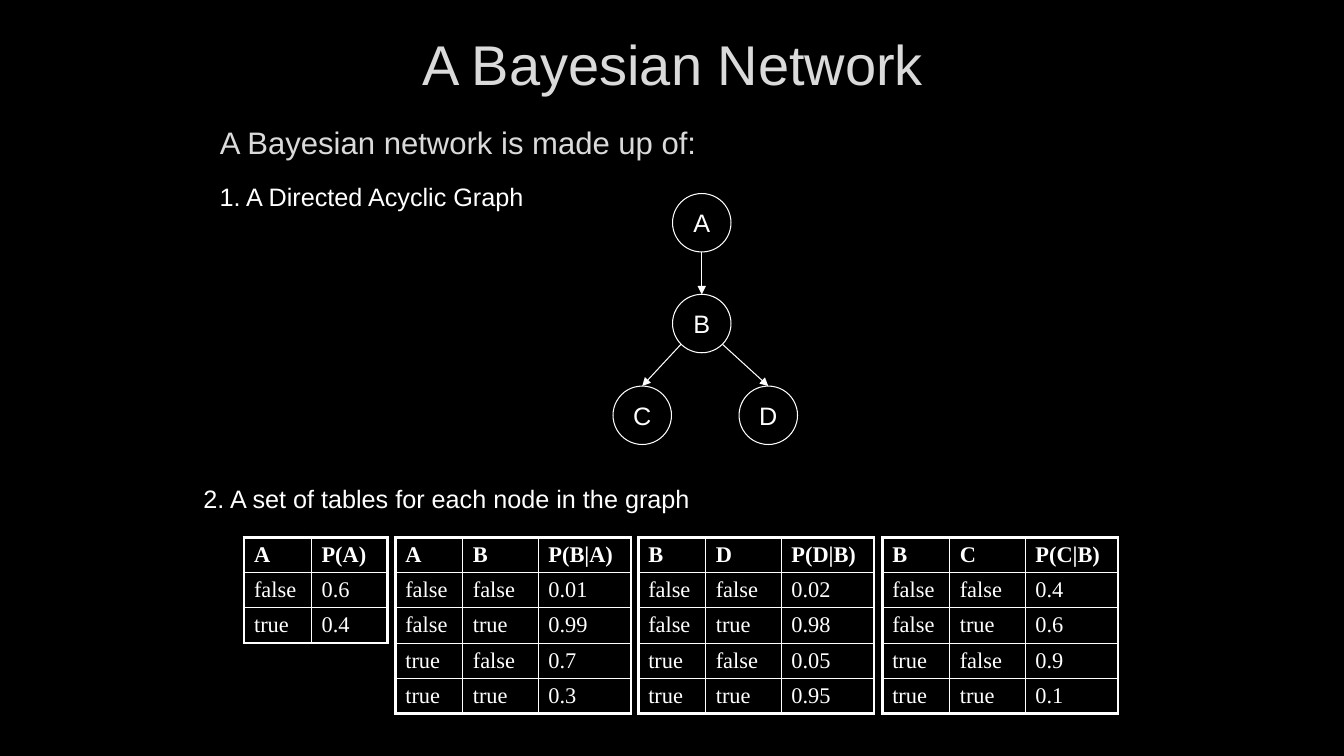
import math
import pptx
import pptx.util
import pptx.dml.color
import pptx.enum.shapes
import pptx.enum.text
import pptx.oxml
import pptx.oxml.ns
import lxml.etree

Inches = pptx.util.Inches
Align = pptx.enum.text.PP_ALIGN
Anchor = pptx.enum.text.MSO_ANCHOR
Fit = pptx.enum.text.MSO_AUTO_SIZE
WHITE, BLACK, GRAY = "FFFFFF", "000000", "DADADA"
SIZE = 0.58
BOOLS = ["false", "true"]
NODES = {"A": (0.59, 0), "B": (0.59, 1), "C": (0, 1.91), "D": (1.25, 1.91)}
EDGES = ["AB", "BC", "BD"]
TABLES = [
    (2.42, ["A"], "P(A)", ["0.6", "0.4"]),
    (3.92, ["A", "B"], "P(B|A)", ["0.01", "0.99", "0.7", "0.3"]),
    (8.75, ["B", "C"], "P(C|B)", ["0.4", "0.6", "0.9", "0.1"]),
    (6.33, ["B", "D"], "P(D|B)", ["0.02", "0.98", "0.05", "0.95"]),
]


def color(code):
    return pptx.dml.color.RGBColor.from_string(code)


def add_sub(node, tag, **attrs):
    return lxml.etree.SubElement(node, pptx.oxml.ns.qn(tag), **attrs)


def write(frame, text, size, code=WHITE, font="Arial", bold=False, align=Align.LEFT):
    frame.text = text
    part = frame.paragraphs[0]
    part.alignment = align
    face = part.runs[0].font
    face.size, face.name, face.bold = pptx.util.Pt(size), font, bold
    face.color.rgb = color(code)


def place(shape, box):
    shape.left, shape.top, shape.width, shape.height = map(Inches, box)


def draw_title(slide, box):
    title = slide.shapes.title
    place(title, box)
    write(title.text_frame, "A Bayesian Network", 40, GRAY, align=Align.CENTER)
    title.text_frame.vertical_anchor = Anchor.MIDDLE


def draw_intro(slide, box):
    body = slide.placeholders[1]
    place(body, box)
    frame = body.text_frame
    write(frame, "A Bayesian network is made up of:", 22.2, GRAY)
    frame.auto_size = Fit.NONE
    props = frame.paragraphs[0]._p.get_or_add_pPr()
    props.set("marL", "0")
    props.set("indent", "0")
    add_sub(props, "a:buNone")


def draw_label(slide, box, text):
    frame = slide.shapes.add_textbox(*map(Inches, box)).text_frame
    frame.word_wrap = True
    frame.auto_size = Fit.SHAPE_TO_FIT_TEXT
    write(frame, text, 18)


def draw_node(slide, box, name):
    kind = pptx.enum.shapes.MSO_SHAPE.OVAL
    node = slide.shapes.add_shape(kind, *map(Inches, box))
    node.shadow.inherit = False
    node.fill.solid()
    node.fill.fore_color.rgb = color(BLACK)
    node.line.color.rgb = color(WHITE)
    node.line.width = pptx.util.Pt(0.75)
    frame = node.text_frame
    frame.word_wrap = False
    frame.vertical_anchor = Anchor.MIDDLE
    write(frame, name, 18, align=Align.CENTER)


def draw_edge(slide, start, end):
    kind = pptx.enum.shapes.MSO_CONNECTOR.STRAIGHT
    line = slide.shapes.add_connector(kind, *map(Inches, start + end))
    line.line.color.rgb = color(WHITE)
    line.line.width = pptx.util.Pt(0.75)
    add_sub(line.line._get_or_add_ln(), "a:tailEnd", type="triangle")
    add_sub(line._element.spPr, "a:effectLst")


def draw_graph(slide, left, top):
    half = SIZE / 2
    mids = {}
    for name, (dx, dy) in NODES.items():
        draw_node(slide, (left + dx, top + dy, SIZE, SIZE), name)
        mids[name] = (left + dx + half, top + dy + half)
    for tail, head in EDGES:
        (x, y), (to_x, to_y) = mids[tail], mids[head]
        side = (to_x > x) - (to_x < x)
        turn = side * math.pi / 4
        start = (x + half * math.sin(turn), y + half * math.cos(turn))
        draw_edge(slide, start, (to_x, to_y - half))


def draw_border(cell, edges):
    props = cell._tc.get_or_add_tcPr()
    for side, outer in zip("LRTB", edges):
        width = pptx.util.Pt(2.25 if outer else 1)
        line = add_sub(props, "a:ln" + side, w=str(width))
        add_sub(add_sub(line, "a:solidFill"), "a:srgbClr", val=WHITE)


def draw_table(slide, left, top, names, prob, values):
    count = len(names)
    rows = [names + [prob]]
    for pos, value in enumerate(values):
        flags = [BOOLS[pos >> bit & 1] for bit in reversed(range(count))]
        rows.append(flags + [value])
    widths = [0.67, 0.75, 0.92][:count + 1]
    box = (left, top, sum(widths), 0.35 * len(rows))
    grid = slide.shapes.add_table(len(rows), len(widths), *map(Inches, box)).table
    grid.first_row = grid.horz_banding = False
    for col, width in zip(grid.columns, widths):
        col.width = Inches(width)
    for r, row in enumerate(rows):
        grid.rows[r].height = Inches(0.35)
        for c, text in enumerate(row):
            cell = grid.cell(r, c)
            write(cell.text_frame, text, 16, font="Times New Roman", bold=r == 0)
            draw_border(cell, (c == 0, c == count, r == 0, r == len(values)))
            cell.fill.background()


def main():
    deck = pptx.Presentation()
    deck.slide_width, deck.slide_height = Inches(13.33), Inches(7.5)
    slide = deck.slides.add_slide(deck.slide_layouts[1])
    slide.background.fill.solid()
    slide.background.fill.fore_color.rgb = color(BLACK)
    draw_title(slide, (2.42, 0.17, 8.5, 0.92))
    draw_intro(slide, (2.08, 1.17, 5, 0.58))
    draw_graph(slide, 6.08, 1.92)
    for left, names, prob, values in TABLES:
        draw_table(slide, left, 5.33, names, prob, values)
    draw_label(slide, (2.08, 1.75, 4.17, 0.4), "1. A Directed Acyclic Graph")
    draw_label(slide, (1.92, 4.75, 7.17, 0.4), "2. A set of tables for each node in the graph")
    deck.save("out.pptx")


if __name__ == "__main__":
    main()
